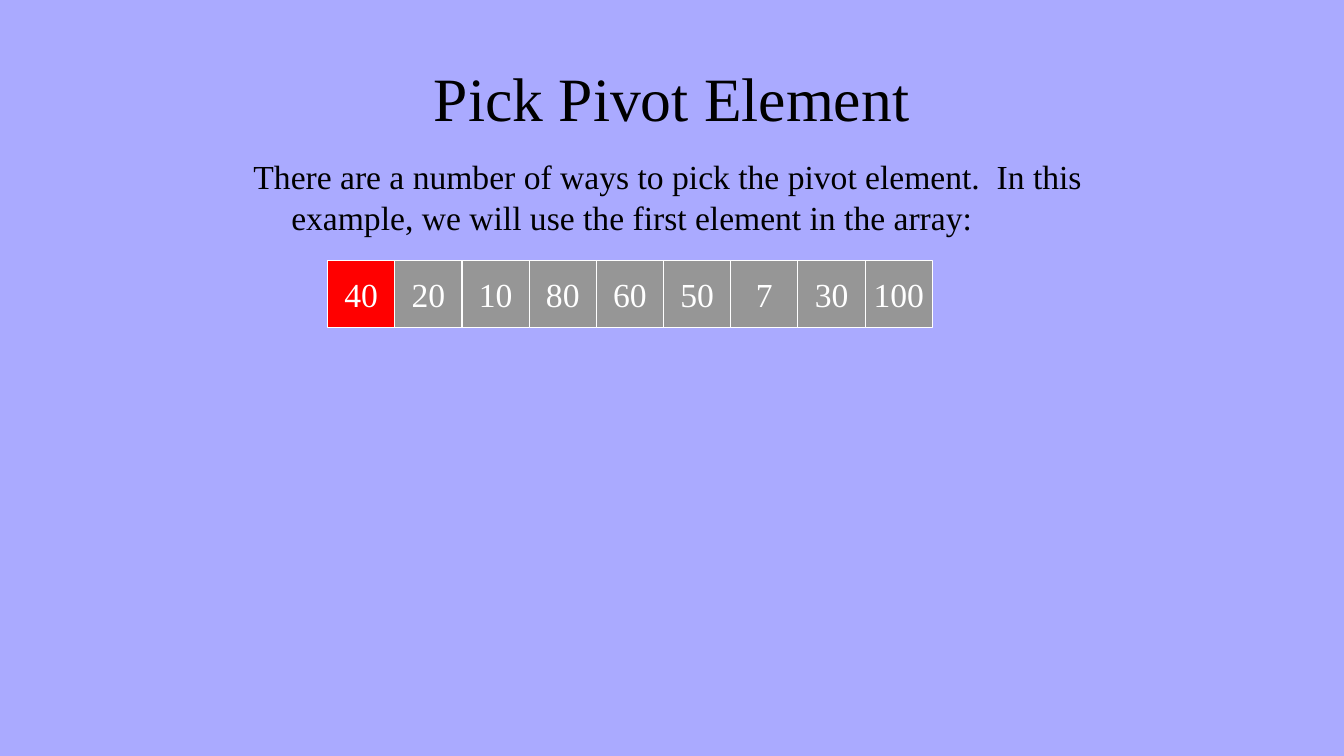
from pptx import Presentation
from pptx.dml.color import RGBColor
from pptx.enum.shapes import MSO_SHAPE as Shape
from pptx.enum.text import MSO_ANCHOR as Anchor, PP_ALIGN as Align
from pptx.util import Pt

FONT = "Times New Roman"
BACKGROUND, BLACK, WHITE = "AAAAFF", "000000", "FFFFFF"
PIVOT_FILL, CELL_FILL = "FF0000", "969696"

ARRAY = [40, 20, 10, 80, 60, 50, 7, 30, 100]
PIVOT_INDEX = 0
ARRAY_LEFT, ARRAY_TOP, CELL_SIZE = 234, 186, 48
COLUMN_LEFT, COLUMN_WIDTH = 174, 612
HANGING_INDENT = 27


def paint(color_owner, color):
    """Give a solid fill or a font its colour."""
    color_owner.rgb = RGBColor.from_string(color)


def write(frame, text, size, color, align):
    frame.text = text
    paragraph = frame.paragraphs[0]
    paragraph.alignment = align
    font = paragraph.runs[0].font
    font.name, font.size = FONT, Pt(size)
    paint(font.color, color)
    return paragraph


def set_background(slide):
    fill = slide.background.fill
    fill.solid()
    paint(fill.fore_color, BACKGROUND)


def add_title(slide, text):
    title = slide.shapes.title
    title.left, title.top = Pt(COLUMN_LEFT), Pt(24)
    title.width, title.height = Pt(COLUMN_WIDTH), Pt(90)
    title.text_frame.vertical_anchor = Anchor.MIDDLE
    write(title.text_frame, text, 44, BLACK, Align.CENTER)


def add_explanation(slide, text):
    explanation = slide.shapes.add_textbox(
        Pt(COLUMN_LEFT), Pt(108), Pt(COLUMN_WIDTH), Pt(324))
    explanation.text_frame.word_wrap = True
    paragraph = write(explanation.text_frame, text, 24, BLACK, Align.LEFT)
    # Hanging indent: the first line starts left of the rest
    properties = paragraph._p.get_or_add_pPr()
    properties.set("marL", str(Pt(HANGING_INDENT)))
    properties.set("indent", str(-Pt(HANGING_INDENT)))


def add_cell(slide, index, value):
    cell = slide.shapes.add_shape(
        Shape.RECTANGLE, Pt(ARRAY_LEFT + index * CELL_SIZE), Pt(ARRAY_TOP),
        Pt(CELL_SIZE), Pt(CELL_SIZE))
    cell.shadow.inherit = False
    cell.fill.solid()
    paint(cell.fill.fore_color,
          PIVOT_FILL if index == PIVOT_INDEX else CELL_FILL)
    paint(cell.line.color, WHITE)
    cell.line.width = Pt(0.75)
    cell.text_frame.word_wrap = False
    cell.text_frame.vertical_anchor = Anchor.MIDDLE
    write(cell.text_frame, str(value), 24, WHITE, Align.CENTER)


def main():
    deck = Presentation()
    deck.slide_width, deck.slide_height = Pt(960), Pt(540)
    slide = deck.slides.add_slide(deck.slide_layouts[5])
    set_background(slide)

    # Heading and explanation
    add_title(slide, "Pick Pivot Element")
    add_explanation(
        slide,
        "There are a number of ways to pick the pivot element.  In this "
        "example, we will use the first element in the array:")

    # Array with the pivot highlighted
    for index, value in enumerate(ARRAY):
        add_cell(slide, index, value)

    deck.save("out.pptx")


if __name__ == "__main__":
    main()
